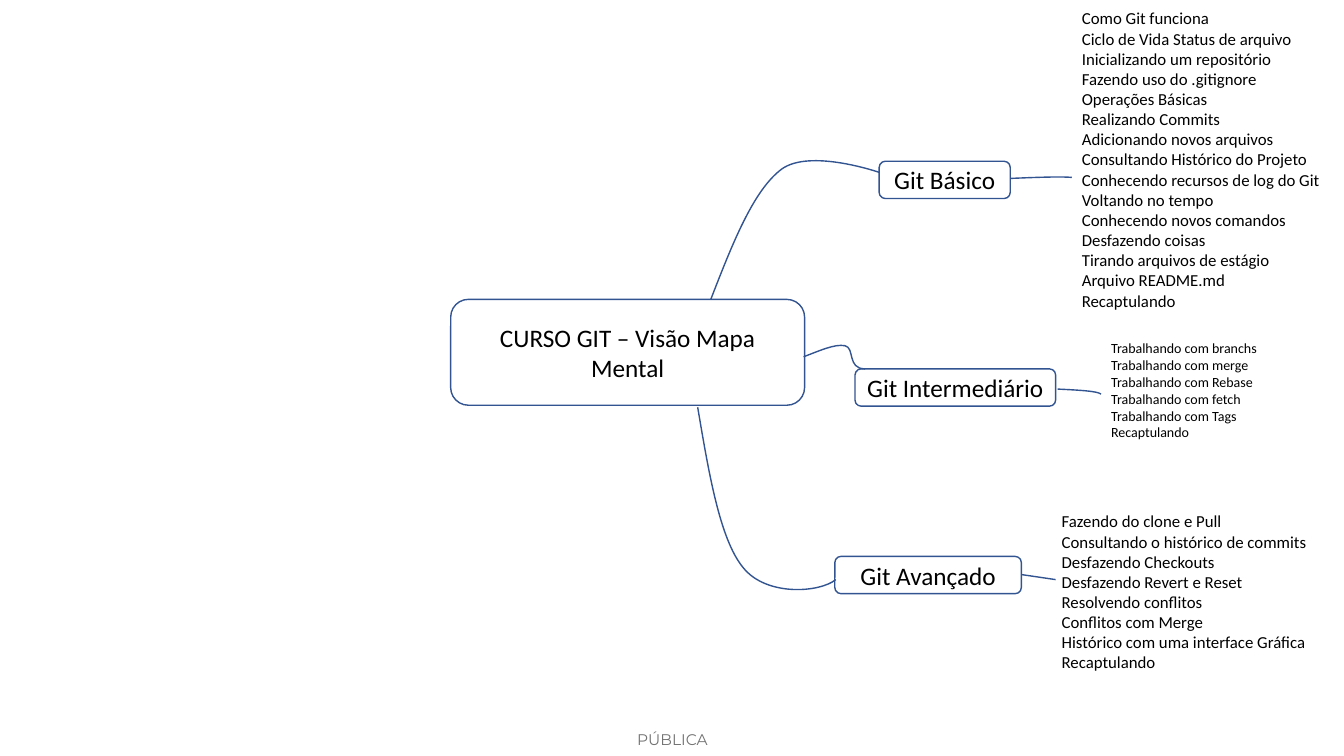
from dataclasses import dataclass

from lxml import etree
from pptx import Presentation
from pptx.dml.color import RGBColor
from pptx.enum import shapes, text
from pptx.oxml.ns import qn
from pptx.util import Inches, Pt

TITLE = ("CURSO GIT – Visão Mapa Mental", (4.47, 2.97, 3.51, 1.05))
FOOTER = ("PÚBLICA", (6.13, 7.17, 1.08, 0.33))

# Each branch: label, label box, list box, list type size, topics
BRANCHES = [
    ("Git Básico", (8.72, 1.6, 1.3, 0.37), (10.63, 0.03, 2.59, 3.13), 12, [
        "Como Git funciona",
        "Ciclo de Vida Status de arquivo",
        "Inicializando um repositório",
        "Fazendo uso do .gitignore",
        "Operações Básicas",
        "Realizando Commits",
        "Adicionando novos arquivos",
        "Consultando Histórico do Projeto",
        "Conhecendo recursos de log do Git",
        "Voltando no tempo",
        "Conhecendo novos comandos",
        "Desfazendo coisas",
        "Tirando arquivos de estágio",
        "Arquivo README.md",
        "Recaptulando",
    ]),
    ("Git Intermediário", (8.48, 3.66, 1.99, 0.37), (10.92, 3.32, 1.68, 1.11), 10, [
        "Trabalhando com branchs",
        "Trabalhando com merge",
        "Trabalhando com Rebase",
        "Trabalhando com fetch",
        "Trabalhando com Tags",
        "Recaptulando",
    ]),
    ("Git Avançado", (8.28, 5.52, 1.85, 0.37), (10.43, 5.02, 2.66, 1.72), 12, [
        "Fazendo do clone e Pull",
        "Consultando o histórico de commits",
        "Desfazendo Checkouts",
        "Desfazendo Revert e Reset",
        "Resolvendo conflitos",
        "Conflitos com Merge",
        "Histórico com uma interface Gráfica",
        "Recaptulando",
    ]),
]

# Each link: its bounding box, then its knots. A knot chain is a start point
# followed by two control points and an end point per Bézier piece.
LINKS = [
    ((7.05, 1.59, 1.67, 1.38),
     [(7.05, 2.97), (7.26, 2.43), (7.47, 1.89), (7.75, 1.68),
      (8.03, 1.47), (8.72, 1.71), (8.72, 1.71)]),
    ((10.02, 1.75, 0.61, 0.02),
     [(10.02, 1.77), (10.26, 1.76), (10.51, 1.75), (10.63, 1.76)]),
    ((7.97, 3.43, 0.61, 0.23),
     [(7.97, 3.54), (8.13, 3.48), (8.28, 3.41), (8.38, 3.43),
      (8.48, 3.45), (8.4, 3.66), (8.58, 3.66)]),
    ((10.49, 3.86, 0.43, 0.05),
     [(10.49, 3.86), (10.69, 3.87), (10.89, 3.88), (10.92, 3.91)]),
    ((6.92, 4.04, 1.37, 1.81),
     [(6.92, 4.04), (7.03, 4.69), (7.14, 5.35), (7.37, 5.63),
      (7.6, 5.92), (8.13, 5.88), (8.29, 5.75)]),
    ((10.13, 5.7, 0.34, 0.05), [(10.13, 5.7), (10.47, 5.75)]),
]


@dataclass(frozen=True)
class Theme:
    paper: RGBColor = RGBColor(0xFF, 0xFF, 0xFF)
    ink: RGBColor = RGBColor(0, 0, 0)
    outline: RGBColor = RGBColor(0x32, 0x54, 0x91)
    muted: RGBColor = RGBColor(0x73, 0x73, 0x73)
    font: str = "Calibri"
    footer_font: str = "Montserrat"
    node_size: int = 18
    footer_size: int = 11
    line_width: int = 1


THEME = Theme()


def place(shape, box):
    shape.left, shape.top, shape.width, shape.height = map(Inches, box)


def write(paragraph, words, size, font=THEME.font, color=THEME.ink,
          align=text.PP_ALIGN.CENTER):
    paragraph.alignment = align
    run = paragraph.add_run()
    run.text = words
    run.font.name, run.font.size, run.font.bold = font, Pt(size), False
    run.font.color.rgb = color


def outline(shape):
    shape.line.color.rgb = THEME.outline
    shape.line.width = Pt(THEME.line_width)


def write_node(shape, words):
    frame = shape.text_frame
    frame.word_wrap = True
    frame.auto_size = text.MSO_AUTO_SIZE.NONE
    frame.vertical_anchor = text.MSO_ANCHOR.MIDDLE
    write(frame.paragraphs[0], words, THEME.node_size)


def add_rounded_box(slide, box):
    rounded_box = slide.shapes.add_shape(
        shapes.MSO_SHAPE.ROUNDED_RECTANGLE, *map(Inches, box))
    rounded_box.shadow.inherit = False
    outline(rounded_box)
    return rounded_box


def add_title(slide):
    """Frame the title placeholder with an unfilled rounded box."""
    words, box = TITLE
    title = slide.shapes.title
    place(title, box)
    write_node(title, words)
    title.text_frame.margin_left = title.text_frame.margin_right = Inches(0.15)
    add_rounded_box(slide, box).fill.background()


def add_label(slide, words, box):
    label = add_rounded_box(slide, box)
    label.fill.solid()
    label.fill.fore_color.rgb = THEME.paper
    write_node(label, words)


def fill_list(placeholder, topics, box, size):
    place(placeholder, box)
    frame = placeholder.text_frame
    frame.word_wrap = False
    frame.auto_size = text.MSO_AUTO_SIZE.NONE
    frame.vertical_anchor = text.MSO_ANCHOR.TOP
    for index, topic in enumerate(topics):
        paragraph = frame.add_paragraph() if index else frame.paragraphs[0]
        write(paragraph, topic, size, align=text.PP_ALIGN.LEFT)
        paragraph.space_before = Pt(0)
        properties = paragraph._p.get_or_add_pPr()
        properties.set("marL", "0")
        properties.set("indent", "0")
        etree.SubElement(properties, qn("a:buNone"))


def add_curve(slide, box, knots):
    """Build a freeform over the box, then bend its path into Bézier pieces."""
    left, top, width, height = map(Inches, box)
    builder = slide.shapes.build_freeform(left, top)
    builder.add_line_segments([(left + width, top + height)], close=False)
    curve = builder.convert_to_shape()
    curve.shadow.inherit = False
    curve.fill.background()
    outline(curve)

    outline_path = next(curve.element.iter(qn("a:path")))
    for step in list(outline_path):
        outline_path.remove(step)
    pieces = [("a:moveTo", knots[:1])]
    pieces += [("a:cubicBezTo", knots[i:i + 3]) for i in range(1, len(knots), 3)]
    for tag, points in pieces:
        piece = etree.SubElement(outline_path, qn(tag))
        for x, y in points:
            etree.SubElement(piece, qn("a:pt"),
                             x=str(Inches(x) - left), y=str(Inches(y) - top))


def add_straight_link(slide, start, end):
    link = slide.shapes.add_connector(
        shapes.MSO_CONNECTOR.STRAIGHT, *map(Inches, start + end))
    etree.SubElement(link.element.spPr, qn("a:effectLst"))
    outline(link)


def add_footer(slide):
    words, box = FOOTER
    frame = slide.shapes.add_textbox(*map(Inches, box)).text_frame
    frame.word_wrap = True
    frame.margin_left = frame.margin_right = frame.margin_top = frame.margin_bottom = 0
    frame.vertical_anchor = text.MSO_ANCHOR.MIDDLE
    write(frame.paragraphs[0], words, THEME.footer_size, THEME.footer_font, THEME.muted)


def main():
    presentation = Presentation()
    presentation.slide_width, presentation.slide_height = Inches(13.33), Inches(7.5)
    comparison_layout = presentation.slide_layouts[4]
    slide = presentation.slides.add_slide(comparison_layout)
    bodies = list(slide.placeholders)[1:]

    add_title(slide)
    for body, (label, label_box, list_box, size, topics) in zip(bodies, BRANCHES):
        add_label(slide, label, label_box)
        fill_list(body, topics, list_box, size)
    for unused in bodies[len(BRANCHES):]:
        unused.element.getparent().remove(unused.element)

    for box, knots in LINKS:
        if len(knots) == 2:
            add_straight_link(slide, *knots)
        else:
            add_curve(slide, box, knots)
    add_footer(slide)
    presentation.save("out.pptx")


if __name__ == "__main__":
    main()
